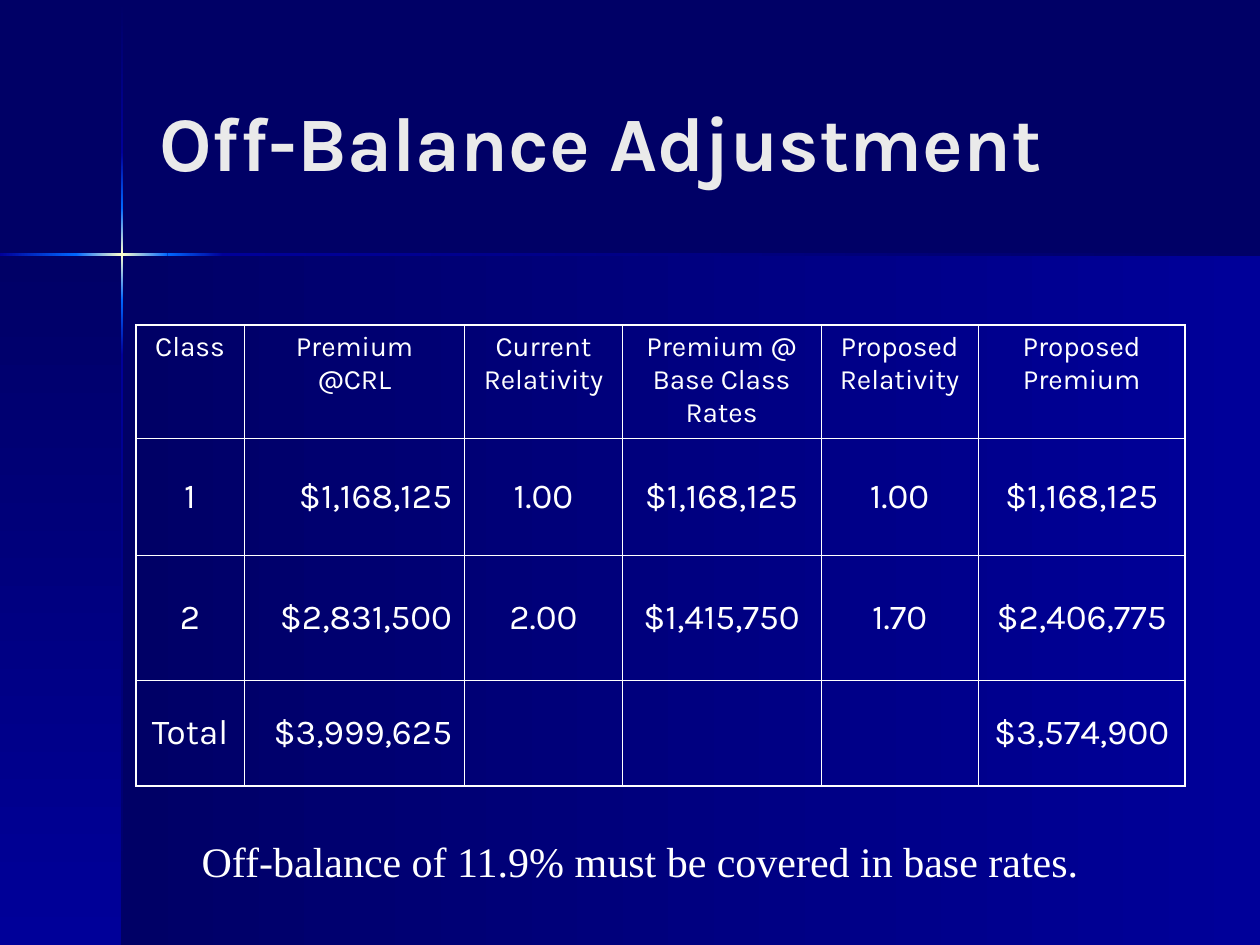
"""Build the off-balance adjustment slide with its premium table."""
import copy
import itertools

import lxml.etree
import pptx
import pptx.dml.color
import pptx.enum.shapes
import pptx.enum.text
import pptx.oxml.ns
import pptx.util

Cm, Pt = pptx.util.Cm, pptx.util.Pt
ALIGN, ANCHOR = pptx.enum.text.PP_ALIGN, pptx.enum.text.MSO_ANCHOR
qn = pptx.oxml.ns.qn

COLORS = {"night": "000066", "royal": "000099", "azure": "0066FF",
          "cream": "FFFFCC", "title": "EAEAEA", "white": "FFFFFF"}
TITLE = "Off-Balance Adjustment"
NOTE = "Off-balance of 11.9% must be covered in base rates."
ROWS = [
    ["Class", "Premium @CRL", "Current Relativity", "Premium @ Base Class Rates",
     "Proposed Relativity", "Proposed Premium"],
    ["1", "$1,168,125", "1.00", "$1,168,125", "1.00", "$1,168,125"],
    ["2", "$2,831,500", "2.00", "$1,415,750", "1.70", "$2,406,775"],
    ["Total", "$3,999,625", "", "", "", "$3,574,900"],
]
COLUMN_WIDTHS = [2.18, 4.45, 3.17, 4.01, 3.17, 4.17]
ROW_HEIGHTS = [2.29, 2.36, 2.51, 2.13]
INNER_LINE, OUTER_LINE = 0.45, 1.08

WIDTH, HEIGHT = 25.4, 19.05
CROSS_X, CROSS_Y, BEAM = 2.46, 5.13, 0.05
DOWN, RIGHT = 270, 0
PANELS = [
    (CROSS_X, CROSS_Y, WIDTH - CROSS_X, HEIGHT - CROSS_Y, RIGHT),
    (0, CROSS_Y, CROSS_X, HEIGHT - CROSS_Y, DOWN),
]
BEAM_COLORS = [("night", "royal"), ("royal", "azure"), ("azure", "cream", "azure"),
               ("azure", "royal"), ("royal", "night")]
VERTICAL_STOPS = [0.03, 3.07, 4.19, 6.05, 7.16, HEIGHT]
HORIZONTAL_STOPS = [0, 1.53, 3.38, 4.5, WIDTH]


def rgb(name):
    return pptx.dml.color.RGBColor.from_string(COLORS[name])


def write(frame, text, *, size, font="Karla", color="white", bold=False,
          align=ALIGN.CENTER):
    frame.word_wrap = True
    paragraph = frame.paragraphs[0]
    paragraph.alignment = align
    run = paragraph.add_run()
    run.text = text
    run.font.name, run.font.size, run.font.bold = font, Pt(size), bold
    run.font.color.rgb = rgb(color)


def add_gradient(slide, left, top, width, height, angle, colors):
    shape = slide.shapes.add_shape(pptx.enum.shapes.MSO_SHAPE.RECTANGLE,
                                   Cm(left), Cm(top), Cm(width), Cm(height))
    shape.shadow.inherit = False
    shape.line.fill.background()
    shape.fill.gradient()
    shape.fill.gradient_angle = angle
    stop_list = shape._element.spPr.find(".//" + qn("a:gsLst"))
    for _ in colors[2:]:
        stop_list.append(copy.deepcopy(stop_list[0]))
    for index, (stop, color) in enumerate(zip(shape.fill.gradient_stops, colors)):
        stop.position = index / (len(colors) - 1)
        stop.color.rgb = rgb(color)


def add_backdrop(slide):
    slide.background.fill.solid()
    slide.background.fill.fore_color.rgb = rgb("night")
    for panel in PANELS:
        add_gradient(slide, *panel, ("night", "royal"))
    for (start, end), colors in zip(itertools.pairwise(VERTICAL_STOPS), BEAM_COLORS):
        add_gradient(slide, CROSS_X - BEAM / 2, start, BEAM, end - start, DOWN, colors)
    for (start, end), colors in zip(itertools.pairwise(HORIZONTAL_STOPS), BEAM_COLORS[1:]):
        add_gradient(slide, start, CROSS_Y - BEAM / 2, end - start, BEAM, RIGHT, colors)


def set_borders(cell, outer_sides):
    properties = cell._tc.get_or_add_tcPr()
    for side, outer in outer_sides.items():
        line = lxml.etree.SubElement(properties, qn(f"a:ln{side}"))
        line.set("w", str(Pt(OUTER_LINE if outer else INNER_LINE)))
        fill = lxml.etree.SubElement(line, qn("a:solidFill"))
        lxml.etree.SubElement(fill, qn("a:srgbClr")).set("val", COLORS["white"])


def add_premium_table(slide):
    last_row, last_column = len(ROWS) - 1, len(COLUMN_WIDTHS) - 1
    table = slide.shapes.add_table(
        len(ROWS), len(COLUMN_WIDTHS), Cm(2.74), Cm(6.55),
        Cm(sum(COLUMN_WIDTHS)), Cm(sum(ROW_HEIGHTS))).table
    table.first_row = table.horz_banding = False
    for column, width in zip(table.columns, COLUMN_WIDTHS):
        column.width = Cm(width)
    for row, height in zip(table.rows, ROW_HEIGHTS):
        row.height = Cm(height)
    for r, values in enumerate(ROWS):
        for c, text in enumerate(values):
            cell = table.cell(r, c)
            set_borders(cell, {"L": c == 0, "R": c == last_column,
                               "T": r == 0, "B": r == last_row})
            cell.fill.background()
            cell.vertical_anchor = ANCHOR.MIDDLE if r else ANCHOR.TOP
            if text:
                write(cell.text_frame, text, size=20 if r else 16,
                      align=ALIGN.RIGHT if r and c == 1 else ALIGN.CENTER)


def main():
    presentation = pptx.Presentation()
    presentation.slide_width, presentation.slide_height = Cm(WIDTH), Cm(HEIGHT)
    slide = presentation.slides.add_slide(presentation.slide_layouts[5])
    add_backdrop(slide)

    title = slide.shapes.title
    slide.shapes._spTree.append(title._element)
    title.left, title.top, title.width, title.height = Cm(2.96), Cm(0.85), Cm(20.96), Cm(3.98)
    title.text_frame.auto_size = pptx.enum.text.MSO_AUTO_SIZE.NONE
    title.text_frame.vertical_anchor = ANCHOR.MIDDLE
    write(title.text_frame, TITLE, size=44, color="title", bold=True, align=ALIGN.LEFT)

    add_premium_table(slide)
    note = slide.shapes.add_textbox(Cm(2.11), Cm(16.71), Cm(21.59), Cm(1.28))
    write(note.text_frame, NOTE, size=24, font="Times New Roman")
    presentation.save("out.pptx")


if __name__ == "__main__":
    main()
